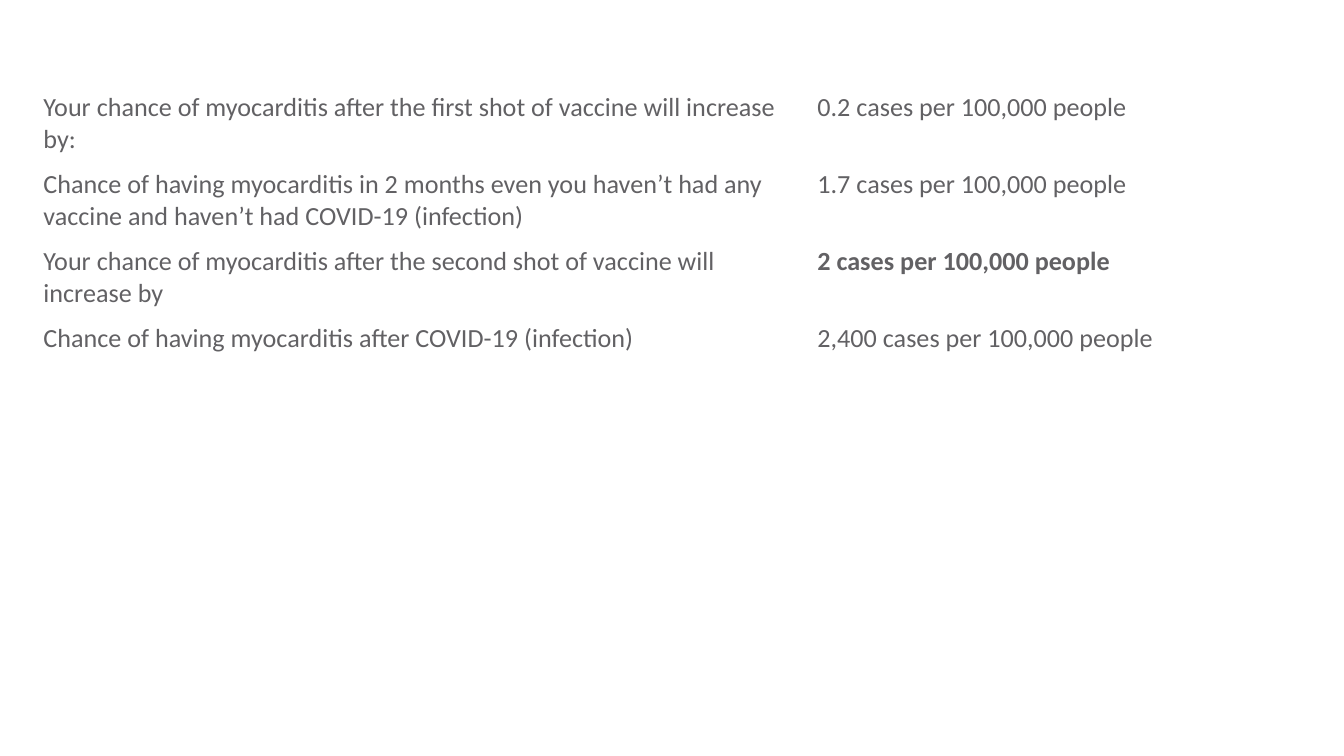
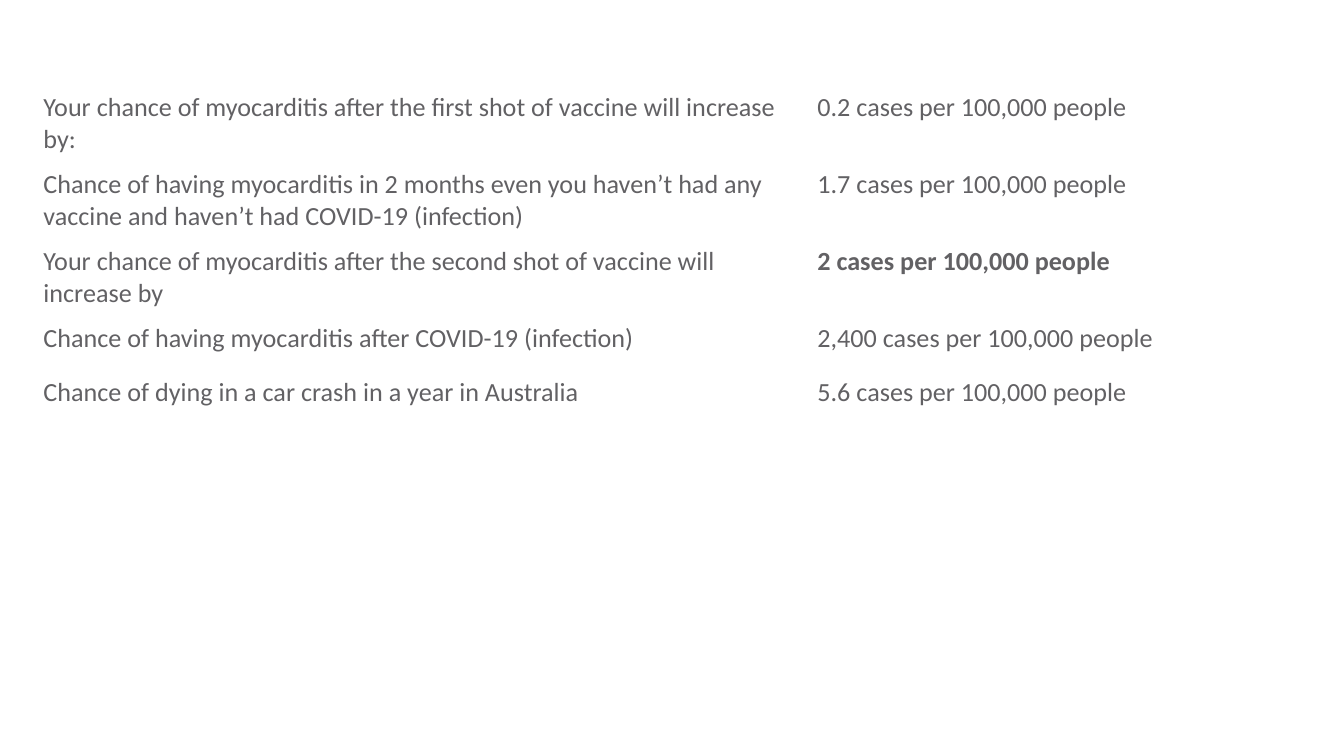
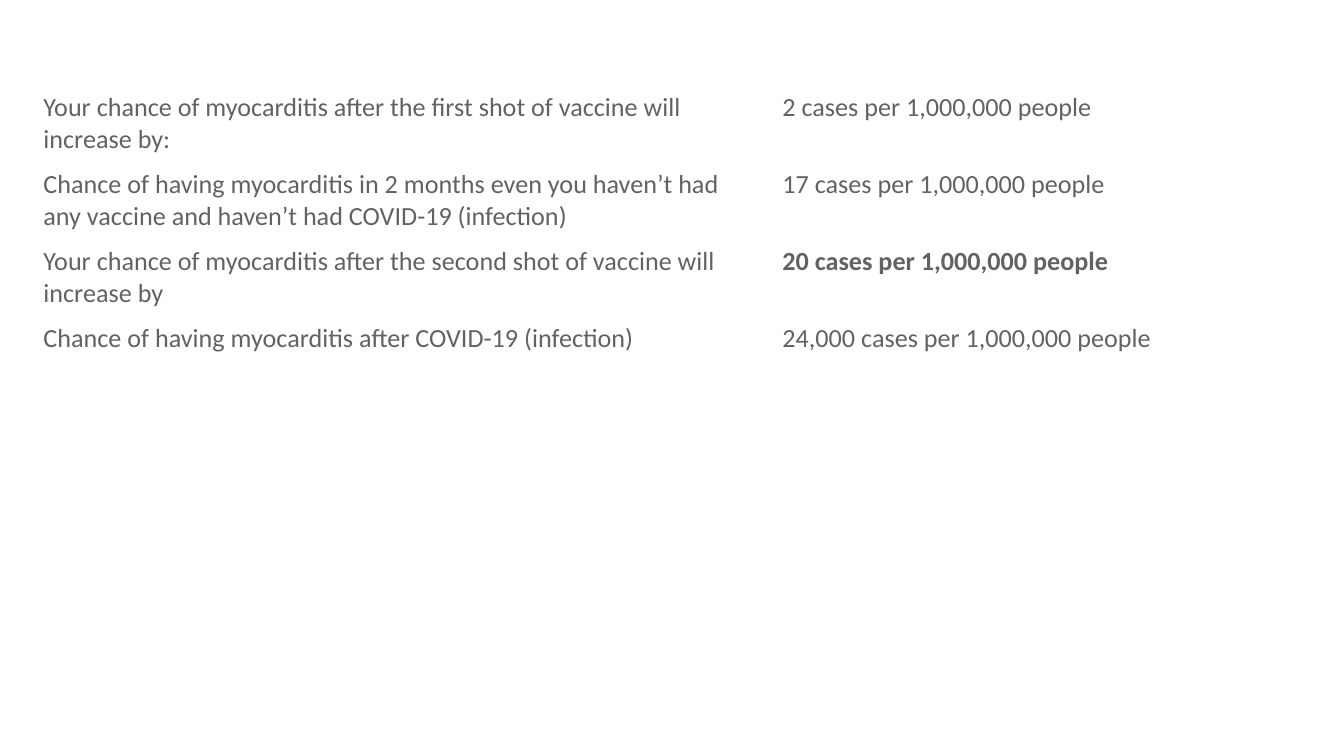
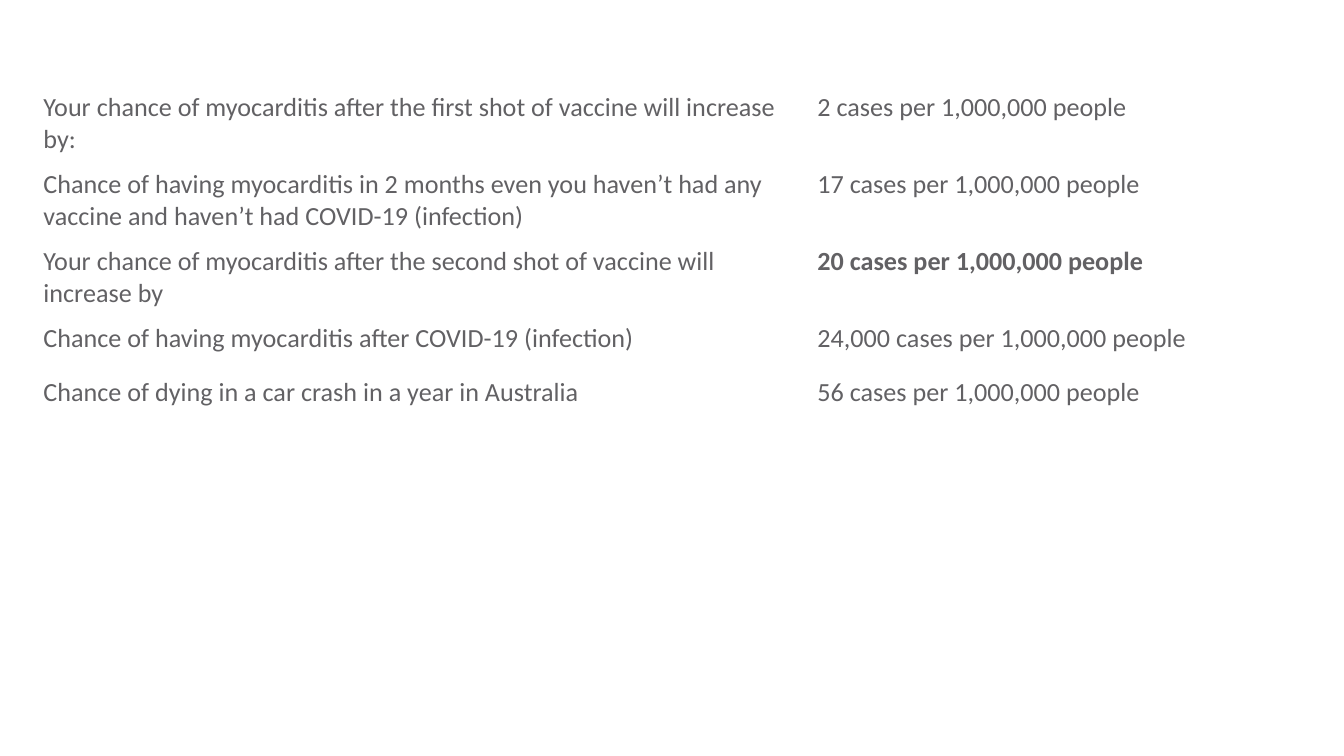
"""Build four slides comparing myocarditis risks."""
from dataclasses import dataclass

from pptx import Presentation
from pptx import util as u
from pptx.dml import color
from pptx.enum import text

SCALE = 914400 / 134.4
SLIDE_WIDTH, SLIDE_HEIGHT = 1344, 756
BLANK_LAYOUT = 6
TABLE_LEFT, TABLE_TOP = 30, 85
ONE_LINE_ROW, TWO_LINE_ROW = 54, 77
WIDE_COLUMNS, NARROW_COLUMNS = (774, 480), (739, 458)
EMPHASIZED_ROW = 2


@dataclass(frozen=True)
class Theme:
    """Colours and type shared by all slides."""
    background: str = "FFFFFF"
    body_color: str = "626164"
    font: str = "Calibri"
    body_size: int = 14


THEME = Theme()

RISKS = (
    ("Your chance of myocarditis after the first shot of vaccine will increase by:", TWO_LINE_ROW),
    ("Chance of having myocarditis in 2 months even you haven’t had any vaccine "
     "and haven’t had COVID-19 (infection)", TWO_LINE_ROW),
    ("Your chance of myocarditis after the second shot of vaccine will increase by", TWO_LINE_ROW),
    ("Chance of having myocarditis after COVID-19 (infection)", ONE_LINE_ROW),
    ("Chance of dying in a car crash in a year in Australia", ONE_LINE_ROW),
)

PER_HUNDRED_THOUSAND = ("100,000", ("0.2", "1.7", "2", "2,400", "5.6"))
PER_MILLION = ("1,000,000", ("2", "17", "20", "24,000", "56"))

SLIDES = (
    (PER_HUNDRED_THOUSAND, 4, WIDE_COLUMNS),
    (PER_HUNDRED_THOUSAND, 5, WIDE_COLUMNS),
    (PER_MILLION, 4, NARROW_COLUMNS),
    (PER_MILLION, 5, WIDE_COLUMNS),
)


def px(length):
    """Turn pixels into EMU."""
    return u.Emu(round(length * SCALE))


def write_cell(cell, words, bold=False):
    """Fill one unshaded cell with a single styled run."""
    cell.fill.background()
    cell.vertical_anchor = text.MSO_ANCHOR.TOP
    run = cell.text_frame.paragraphs[0].add_run()
    run.text = words
    run.font.name = THEME.font
    run.font.size = u.Pt(THEME.body_size)
    run.font.bold = bold
    run.font.color.rgb = color.RGBColor.from_string(THEME.body_color)


def add_risk_table(slide, left, top, column_widths, rates, row_count):
    """Place a two-column table of risks and their rates."""
    population, cases = rates
    risks = RISKS[:row_count]
    height = sum(row_height for _, row_height in risks)
    frame = slide.shapes.add_table(
        row_count, len(column_widths), px(left), px(top), px(sum(column_widths)), px(height))
    table = frame.table
    table.first_row = table.horz_banding = False
    for column, width in zip(table.columns, column_widths):
        column.width = px(width)
    for index, ((risk, row_height), count) in enumerate(zip(risks, cases)):
        table.rows[index].height = px(row_height)
        write_cell(table.cell(index, 0), risk)
        write_cell(table.cell(index, 1), f"{count} cases per {population} people",
                   bold=index == EMPHASIZED_ROW)


def add_risk_slide(presentation, rates, row_count, column_widths):
    """Add a plain slide holding one risk table."""
    slide = presentation.slides.add_slide(presentation.slide_layouts[BLANK_LAYOUT])
    slide.background.fill.solid()
    slide.background.fill.fore_color.rgb = color.RGBColor.from_string(THEME.background)
    add_risk_table(slide, TABLE_LEFT, TABLE_TOP, column_widths, rates, row_count)


def main():
    """Build and save the presentation."""
    presentation = Presentation()
    presentation.slide_width = px(SLIDE_WIDTH)
    presentation.slide_height = px(SLIDE_HEIGHT)
    for rates, row_count, column_widths in SLIDES:
        add_risk_slide(presentation, rates, row_count, column_widths)
    presentation.save("out.pptx")


main()
